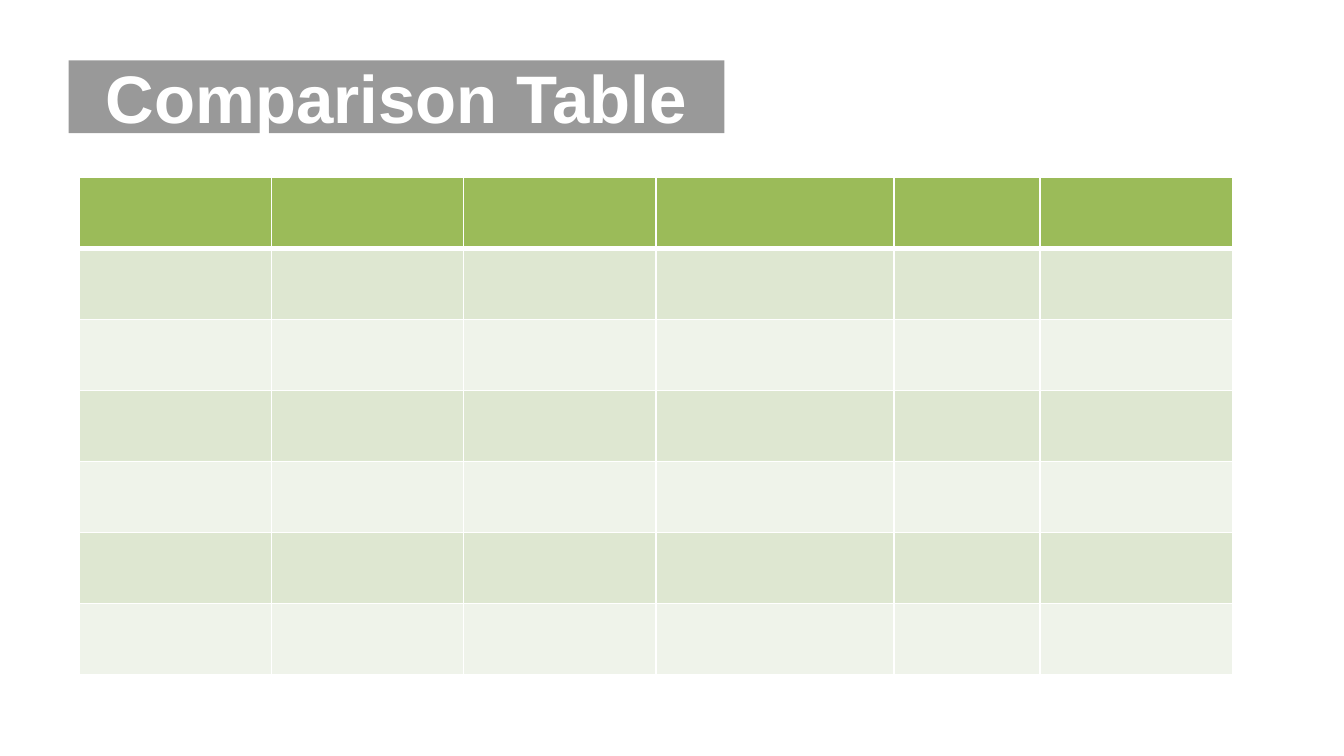
"""Build a slide with a title band and an empty, banded comparison table."""
from lxml.etree import SubElement
from pptx import Presentation
from pptx.dml.color import RGBColor
from pptx.enum.text import MSO_ANCHOR, MSO_AUTO_SIZE, PP_ALIGN
from pptx.oxml.ns import qn
from pptx.util import Inches, Pt


def paint(fill, color):
    fill.solid()
    fill.fore_color.rgb = RGBColor.from_string(color)


def write(frame, text, font="Arial", size=36, color="FFFFFF", bold=True, align=PP_ALIGN.CENTER):
    frame.word_wrap = True
    frame.auto_size = MSO_AUTO_SIZE.NONE
    frame.vertical_anchor = MSO_ANCHOR.MIDDLE
    paragraph = frame.paragraphs[0]
    paragraph.alignment = align
    run = paragraph.add_run()
    run.text = text
    run.font.name, run.font.size, run.font.bold = font, Pt(size), bold
    paint(run.font.fill, color)


deck = Presentation()
deck.slide_width = Inches(10)
deck.slide_height = deck.slide_width * 9 // 16
slide = deck.slides.add_slide(deck.slide_layouts[5])

heading = slide.shapes.title
heading.left, heading.top = Inches(0.51), Inches(0.45)
heading.width, heading.height = Inches(4.88), Inches(0.54)
paint(heading.fill, "000000")
band_color = heading.fill._xPr.find(".//" + qn("a:srgbClr"))
SubElement(band_color, qn("a:alpha"), val="40000")
write(heading.text_frame, "Comparison Table")

column_widths = [1.43, 1.43, 1.43, 1.77, 1.09, 1.43]
row_count, table_height = 7, Inches(3.7)
header_color, band_colors = "9BBB59", ["EFF3EA", "DEE7D1"]
comparison = slide.shapes.add_table(
    row_count, len(column_widths), Inches(0.59), Inches(1.32),
    Inches(sum(column_widths)), table_height).table

for column, width in zip(comparison.columns, column_widths):
    column.width = Inches(width)

for index, row in enumerate(comparison.rows):
    row.height = table_height // row_count
    rules = {"L": 1, "R": 1, "T": 3 if index == 1 else 1, "B": 3 if index == 0 else 1}
    for cell in row.cells:
        properties = cell._tc.get_or_add_tcPr()
        for side, weight in rules.items():
            rule = SubElement(properties, qn(f"a:ln{side}"), w=str(Pt(weight)))
            SubElement(SubElement(rule, qn("a:solidFill")), qn("a:srgbClr"), val="FFFFFF")
        paint(cell.fill, band_colors[index % 2] if index else header_color)

deck.save("out.pptx")
